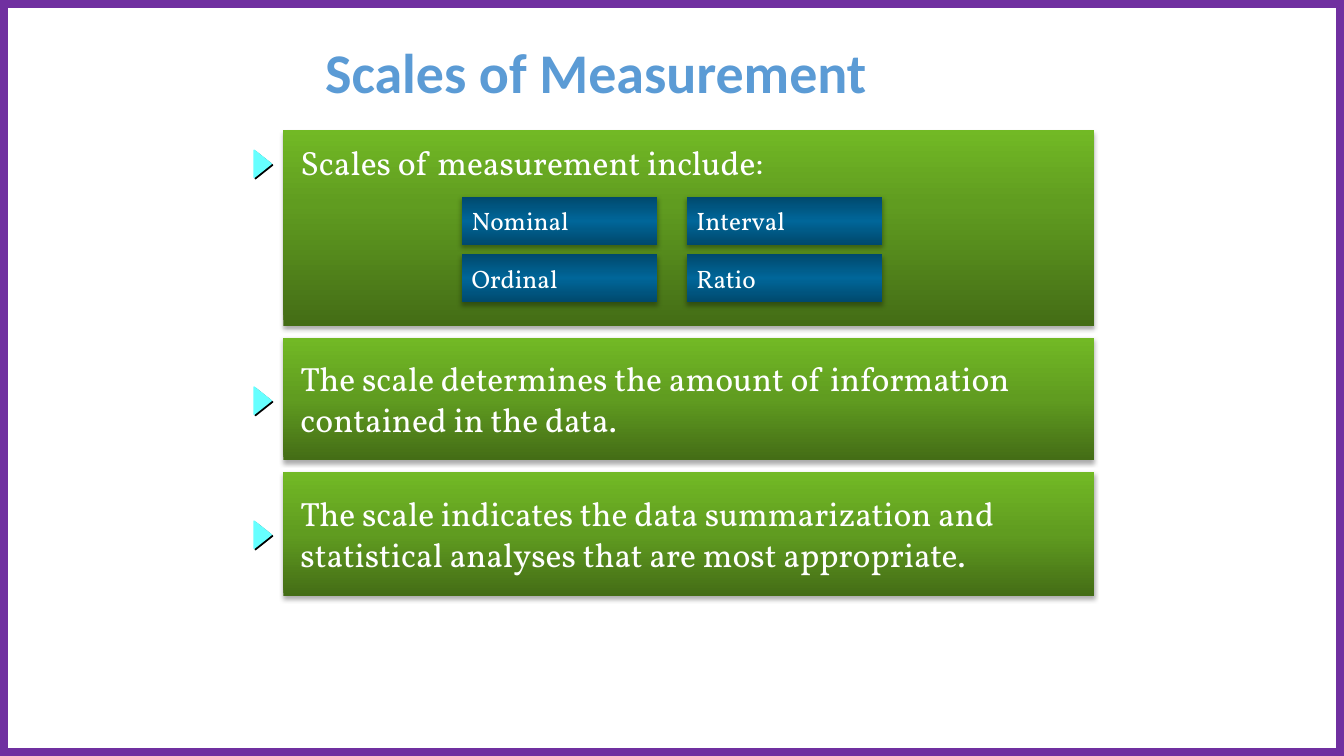
import pptx
import pptx.dml.color
import pptx.enum.shapes
import pptx.enum.text
import pptx.oxml.ns
import pptx.util
from lxml import etree

Inches, Pt = pptx.util.Inches, pptx.util.Pt
RGBColor = pptx.dml.color.RGBColor
Shape = pptx.enum.shapes.MSO_SHAPE
Align, Anchor = pptx.enum.text.PP_ALIGN, pptx.enum.text.MSO_ANCHOR
qn = pptx.oxml.ns.qn

WHITE = RGBColor(0xFF, 0xFF, 0xFF)
BLACK = RGBColor(0, 0, 0)
PURPLE = RGBColor(0x70, 0x30, 0xA0)
BLUE = RGBColor(0x5B, 0x9B, 0xD5)
CYAN = RGBColor(0x66, 0xFF, 0xFF)
MOSS = RGBColor(0x44, 0x6D, 0x16)
GREEN = RGBColor(0x60, 0x9C, 0x20)
LIME = RGBColor(0x72, 0xB9, 0x25)
NAVY = RGBColor(0x00, 0x49, 0x6D)
OCEAN = RGBColor(0x00, 0x66, 0x99)

TITLE = "Scales of Measurement"
# lines, top, height, middle stop, arrow top, anchor
PANELS = [
    (["Scales of measurement include:"],
     1.29, 1.94, 62, 1.54, Anchor.TOP),
    (["The scale determines the amount of information",
      "contained in the data."],
     3.35, 1.21, 50, 3.89, Anchor.MIDDLE),
    (["The scale indicates the data summarization and",
      "statistical analyses that are most appropriate."],
     4.68, 1.23, 50, 5.22, Anchor.MIDDLE),
]
SCALES = [["Nominal", "Interval"], ["Ordinal", "Ratio"]]

PANEL_X, PANEL_W = 2.81, 8.04
ARROW_X, ARROW_W, ARROW_H = 2.47, 0.27, 0.17
GRID_X, GRID_Y = 4.58, 1.95
STEP_X, STEP_Y = 2.23, 0.57
CELL_W, CELL_H = 1.94, 0.48

deck = pptx.Presentation()
deck.slide_width, deck.slide_height = Inches(13.33), Inches(7.5)
slide = deck.slides.add_slide(deck.slide_layouts[6])


def add_box(kind, x, y, w, h):
    box = slide.shapes.add_shape(kind, Inches(x), Inches(y), Inches(w), Inches(h))
    box.shadow.inherit = False
    box.line.fill.background()
    return box


def add_blend(box, stops, angle):
    """Fill with (percent, colour) stops; the angle runs anticlockwise."""
    box.fill.gradient()
    box.fill.gradient_angle = angle
    group = box.fill._xPr.find(qn("a:gradFill")).find(qn("a:gsLst"))
    for old in list(group):
        group.remove(old)
    for place, color in stops:
        stop = etree.SubElement(group, qn("a:gs"), pos=str(place * 1000))
        etree.SubElement(stop, qn("a:srgbClr"), val=str(color))


def add_shade(box, alpha=32, blur=3.5, gap=2.2, angle=90):
    effects = box._element.spPr.find(qn("a:effectLst"))
    shade = etree.SubElement(
        effects, qn("a:outerShdw"), blurRad=str(int(Pt(blur))),
        dist=str(int(Pt(gap))), dir=str(angle * 60000), rotWithShape="0")
    color = etree.SubElement(shade, qn("a:srgbClr"), val=str(BLACK))
    etree.SubElement(color, qn("a:alpha"), val=str(alpha * 1000))


def write(box, lines, size=24, font="Vollkorn", color=WHITE, bold=False,
          align=Align.LEFT, anchor=Anchor.MIDDLE, left=0.1, top=0.05, space=1.0):
    frame = box.text_frame
    frame.word_wrap = True
    frame.vertical_anchor = anchor
    frame.margin_left, frame.margin_top = Inches(left), Inches(top)
    for i, line in enumerate(lines):
        para = frame.add_paragraph() if i else frame.paragraphs[0]
        para.alignment = align
        para.line_spacing = space
        run = para.add_run()
        run.text = line
        run.font.size, run.font.name, run.font.bold = Pt(size), font, bold
        run.font.color.rgb = color


border = add_box(Shape.RECTANGLE, 0, 0, 13.33, 7.5)
border.fill.background()
border.line.color.rgb = PURPLE
border.line.width = Pt(12)

title = slide.shapes.add_textbox(Inches(1.16), Inches(0.18), Inches(9.5), Inches(1.17))
write(title, [TITLE], size=40, font="Calibri", color=BLUE, bold=True,
      align=Align.CENTER, space=0.8)

for lines, y, h, mid, arrow_y, anchor in PANELS:
    panel = add_box(Shape.RECTANGLE, PANEL_X, y, PANEL_W, h)
    add_blend(panel, [(0, MOSS), (mid, GREEN), (100, LIME)], 90)
    add_shade(panel)
    inset = 0.12 if anchor == Anchor.TOP else 0.05
    write(panel, lines, anchor=anchor, left=0.17, top=inset)

    arrow = add_box(Shape.ISOSCELES_TRIANGLE, ARROW_X, arrow_y, ARROW_W, ARROW_H)
    arrow.rotation = 90
    arrow.fill.solid()
    arrow.fill.fore_color.rgb = CYAN
    arrow.line.color.rgb = CYAN
    arrow.line.width = Pt(1)
    add_shade(arrow, alpha=100, blur=0, gap=1.4, angle=45)

for row, names in enumerate(SCALES):
    for col, name in enumerate(names):
        cell = add_box(Shape.RECTANGLE, GRID_X + col * STEP_X,
                       GRID_Y + row * STEP_Y, CELL_W, CELL_H)
        add_blend(cell, [(0, NAVY), (50, OCEAN), (100, NAVY)], 270)
        add_shade(cell)
        write(cell, [name], size=18)

deck.save("out.pptx")
